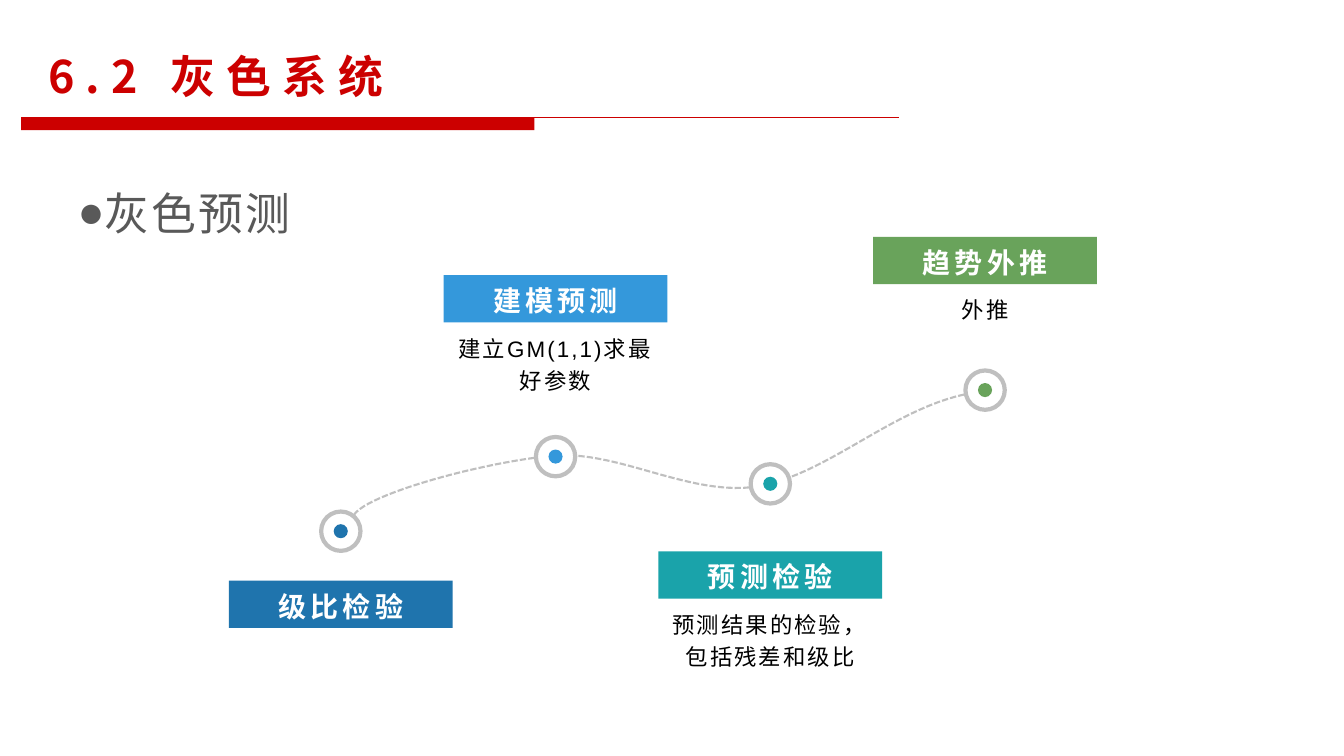
from dataclasses import dataclass

from lxml import etree
from pptx import Presentation
from pptx.dml.color import RGBColor
from pptx.enum import dml, shapes, text
from pptx.oxml import ns
from pptx.util import Inches, Pt


@dataclass(frozen=True)
class Theme:
    red: str = "CC0000"
    gray: str = "595959"
    track: str = "BFBFBF"
    white: str = "FFFFFF"
    black: str = "000000"
    blue: str = "1F74AD"
    sky: str = "3498DB"
    teal: str = "1AA3AA"
    green: str = "69A35B"
    latin: str = "Arial"
    chinese: str = "Noto Sans CJK SC"
    heading: int = 32
    label: int = 20
    caption: int = 16


theme = Theme()


def write(shape, wording, size, color, font, spacing, bold=False, line_spacing=1.0):
    """Fill a shape with one paragraph; spacing is between letters, in points."""
    frame = shape.text_frame
    frame.word_wrap = True
    frame.text = wording
    paragraph = frame.paragraphs[0]
    paragraph.line_spacing = line_spacing
    paragraph.space_before = Pt(0)
    run = paragraph.runs[0]
    run.font.size = Pt(size)
    run.font.bold = bold
    run.font.color.rgb = RGBColor.from_string(color)
    run.font.name = font
    properties = run.font._element
    properties.set("spc", str(round(spacing * 100)))
    etree.SubElement(properties, ns.qn("a:ea"), typeface=theme.chinese)
    return paragraph


def add_filled(kind, left, top, width, height, color):
    shape = slide.shapes.add_shape(
        kind, Inches(left), Inches(top), Inches(width), Inches(height))
    shape.shadow.inherit = False
    shape.fill.solid()
    shape.fill.fore_color.rgb = RGBColor.from_string(color)
    shape.line.fill.background()
    return shape


presentation = Presentation()
presentation.slide_width = Inches(13.33)
presentation.slide_height = Inches(7.5)
slide = presentation.slides.add_slide(presentation.slide_layouts[1])

# Title
title = slide.shapes.title
title.left, title.top, title.width, title.height = map(Inches, (0.48, 0.47, 5.56, 0.55))
paragraph = write(title, "6.2 灰色系统", theme.heading, theme.red, theme.chinese, 7.9, True)
paragraph.alignment = text.PP_ALIGN.LEFT
paragraph.space_before = Pt(1.1)
frame = title.text_frame
frame.margin_left = frame.margin_right = frame.margin_bottom = 0
frame.margin_top = Inches(0.01)
frame.vertical_anchor = text.MSO_ANCHOR.TOP
frame.auto_size = text.MSO_AUTO_SIZE.NONE

# Rule under the title
add_filled(shapes.MSO_SHAPE.RECTANGLE, 0.21, 1.17, 5.09, 0.12, theme.red)
rule = slide.shapes.add_connector(
    shapes.MSO_CONNECTOR.STRAIGHT, Inches(0.21), Inches(1.17), Inches(8.92), Inches(1.17))
rule.line.color.rgb = RGBColor.from_string(theme.red)
rule.line.width = Pt(0.72)
etree.SubElement(rule._element.spPr, ns.qn("a:effectLst"))

# Bulleted topic
body = slide.placeholders[1]
body.left, body.top, body.width, body.height = map(Inches, (0.67, 1.63, 12, 5.2))
paragraph = write(body, "灰色预测", theme.heading, theme.gray, theme.chinese, 1.5,
                  line_spacing=1.3)
paragraph.space_after = Pt(10)
properties = paragraph._p.get_or_add_pPr()
properties.set("marL", str(Inches(0.25)))
properties.set("indent", str(Inches(-0.25)))
etree.SubElement(properties, ns.qn("a:buChar"), char="●")

# Dashed track: cubic curves drawn as short steps
start = (3.51, 5.11)
curves = [
    ((3.64, 4.9), (4.81, 4.58), (5.5, 4.52)),
    ((6.19, 4.47), (6.94, 4.99), (7.64, 4.8)),
    ((8.35, 4.61), (8.99, 3.95), (9.78, 3.88)),
]
steps = 24
points = []
origin = start
for first, second, end in curves:
    for step in range(1, steps + 1):
        t = step / steps
        weights = ((1 - t) ** 3, 3 * t * (1 - t) ** 2, 3 * t ** 2 * (1 - t), t ** 3)
        points.append(tuple(
            Inches(sum(w * value for w, value in zip(weights, values)))
            for values in zip(origin, first, second, end)))
    origin = end
builder = slide.shapes.build_freeform(Inches(start[0]), Inches(start[1]))
builder.add_line_segments(points, close=False)
track = builder.convert_to_shape()
track.shadow.inherit = False
track.fill.background()
track.line.color.rgb = RGBColor.from_string(theme.track)
track.line.width = Pt(1.5)
track.line.dash_style = dml.MSO_LINE.SQUARE_DOT

# Stages: label, caption, colour, marker centre, card top
stages = [
    ("级比检验", "", theme.blue, 5.27, 5.76),
    ("建模预测", "建立GM(1,1)求最好参数", theme.sky, 4.53, 2.73),
    ("预测检验", "预测结果的检验，包括残差和级比", theme.teal, 4.8, 5.47),
    ("趋势外推", "外推", theme.green, 3.87, 2.35),
]
first_center, pitch = 3.38, 2.13
ring_size, dot_size = 0.39, 0.14
card_width, card_height = 2.22, 0.47

for index, (label, caption, color, middle, card_top) in enumerate(stages):
    center = first_center + index * pitch
    card_left = center - card_width / 2

    # Marker on the track
    for size, fill in ((ring_size, theme.white), (dot_size, color)):
        marker = add_filled(shapes.MSO_SHAPE.OVAL, center - size / 2, middle - size / 2,
                            size, size, fill)
        if size == ring_size:
            marker.line.color.rgb = RGBColor.from_string(theme.track)
            marker.line.width = Pt(3)

    # Label card
    card = add_filled(shapes.MSO_SHAPE.RECTANGLE, card_left, card_top,
                      card_width, card_height, color)
    paragraph = write(card, label, theme.label, theme.white, theme.latin, 3, True, 1.1)
    paragraph.alignment = text.PP_ALIGN.CENTER
    card.text_frame.margin_top = card.text_frame.margin_bottom = 0
    card.text_frame.vertical_anchor = text.MSO_ANCHOR.MIDDLE

    # Caption below the card
    if caption:
        note = slide.shapes.add_textbox(Inches(card_left), Inches(card_top + 0.49),
                                        Inches(card_width), Inches(0.76))
        paragraph = write(note, caption, theme.caption, theme.black, theme.latin, 1.5,
                          line_spacing=1.2)
        paragraph.alignment = text.PP_ALIGN.CENTER

presentation.save("out.pptx")
